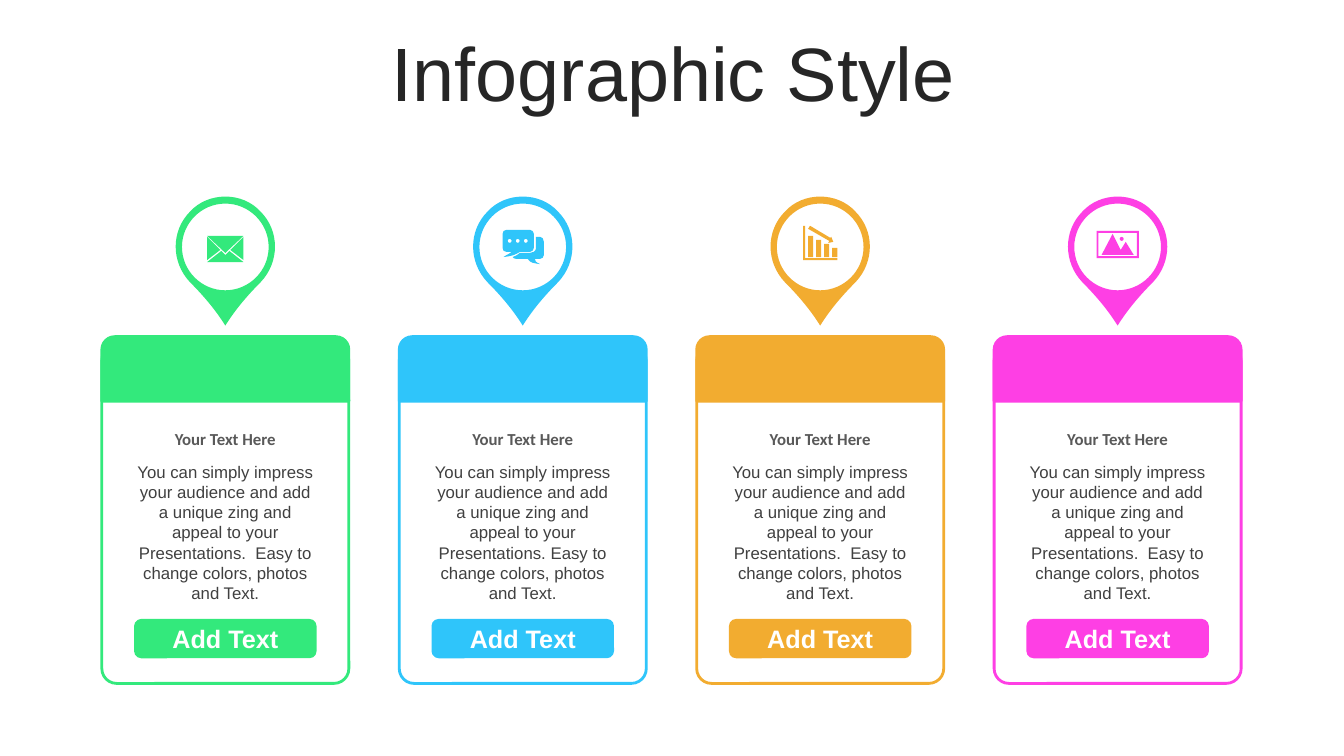
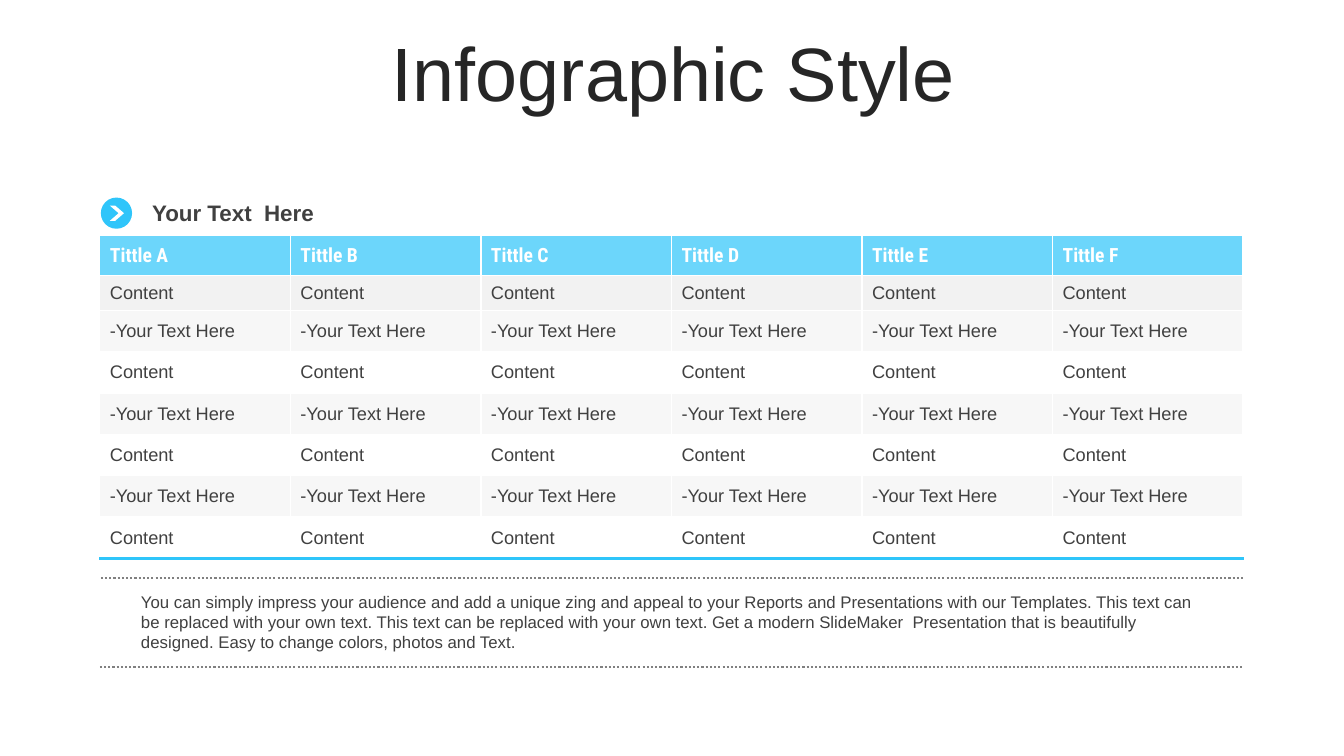
import lxml.etree
import pptx
import pptx.dml.color
import pptx.enum.dml
import pptx.enum.shapes
import pptx.enum.text
import pptx.oxml.ns
import pptx.util

Inches = pptx.util.Inches
Pt = pptx.util.Pt
SHAPE = pptx.enum.shapes.MSO_SHAPE
ALIGN = pptx.enum.text.PP_ALIGN
MIDDLE = pptx.enum.text.MSO_ANCHOR.MIDDLE
qn = pptx.oxml.ns.qn

INK = {
    "green": "33E97C", "blue": "2FC5FA", "gold": "F2AC30", "pink": "FE3FE4",
    "white": "FFFFFF", "title": "262626", "head": "595959", "text": "404040",
    "pale": "F2F2F2", "band": "D9D9D9", "rule": "808080",
}
HUES = ["green", "blue", "gold", "pink"]
LEFT, PITCH, WIDE = 1.01, 2.95, 2.45
PIN_Y = 2.45
BLURB = ("You can simply impress your audience and add a unique zing and "
         "appeal to your Presentations.{}Easy to change colors, photos and Text.")
NOTE = ("You can simply impress your audience and add a unique zing and appeal "
        "to your Reports and Presentations with our Templates. This text can be "
        "replaced with your own text. This text can be replaced with your own "
        "text. Get a modern SlideMaker  Presentation that is beautifully "
        "designed. Easy to change colors, photos and Text.")


def rgb(name):
    """Return the palette colour with this name."""
    return pptx.dml.color.RGBColor.from_string(INK[name])


def write(frame, text, size, color, bold=False, font="Arial", align=None):
    """Put one formatted run in the first paragraph of a frame."""
    para = frame.paragraphs[0]
    para.alignment = align
    run = para.add_run()
    run.text = text
    run.font.size = Pt(size)
    run.font.name = font
    run.font.bold = bold
    run.font.color.rgb = rgb(color)
    return para


def label(slide, box, *args, **style):
    """Add a wrapped text box."""
    frame = slide.shapes.add_textbox(*map(Inches, box)).text_frame
    frame.word_wrap = True
    write(frame, *args, **style)


def paint(shape, fill, line=None):
    """Give a shape a flat fill and an optional outline."""
    shape.shadow.inherit = False
    shape.fill.solid()
    shape.fill.fore_color.rgb = rgb(fill)
    if line:
        shape.line.color.rgb = rgb(line)
        shape.line.width = Pt(2)
    else:
        shape.line.fill.background()


def block(slide, kind, box, fill, line=None, adj=None):
    """Add a preset shape."""
    shape = slide.shapes.add_shape(kind, *map(Inches, box))
    paint(shape, fill, line)
    if adj is not None:
        shape.adjustments[0] = adj
    return shape


def rect(x, y, w, h):
    """Return the corners of a rectangle."""
    return [(x, y), (x + w, y), (x + w, y + h), (x, y + h)]


def ring(x, y, r):
    """Return a circle as four cubic curves."""
    k = .55 * r
    return [(x + r, y),
            (x + r, y + k, x + k, y + r, x, y + r),
            (x - k, y + r, x - r, y + k, x - r, y),
            (x - r, y - k, x - k, y - r, x, y - r),
            (x + k, y - r, x + r, y - k, x + r, y)]


def bend(shape, parts):
    """Turn each run of three segments that forms a cubic into a curve."""
    lines = iter(list(shape._element.iter(qn("a:lnTo"))))
    for part in parts:
        group = [next(lines) for _ in range(len(part) // 2)]
        if len(group) == 3:
            curve = lxml.etree.Element(qn("a:cubicBezTo"))
            group[0].addprevious(curve)
            for node in group:
                curve.append(node[0])
                node.getparent().remove(node)


def draw(slide, loops, x, y, fill):
    """Add closed outlines of lines (x, y) and cubics (six numbers)."""
    pen = None
    for loop in loops:
        knots = [(Inches(part[i]), Inches(part[i + 1]))
                 for part in loop for i in range(0, len(part), 2)]
        if pen:
            pen.move_to(*knots[0])
        else:
            pen = slide.shapes.build_freeform(*knots[0], scale=1.0)
        pen.add_line_segments(knots[1:], close=True)
    shape = pen.convert_to_shape(Inches(x), Inches(y))
    bend(shape, [part for loop in loops for part in loop[1:]])
    paint(shape, fill)


def pin():
    """Return the map pin outline with its round hole."""
    drop = [(0, -.5), (.13, -.5, .26, -.45, .35, -.35),
            (.54, -.16, .54, .15, .35, .35), (.22, .48, .1, .62, 0, .78),
            (-.1, .62, -.22, .48, -.35, .35),
            (-.54, .15, -.54, -.16, -.35, -.35),
            (-.26, -.45, -.13, -.5, 0, -.5)]
    return [ring(0, 0, .43), drop]


def mail():
    """Return the envelope icon."""
    side = [(.18, -.1), (.18, .13), (.05, .03)]
    return [[(.04, .04), (.18, .15), (-.18, .15), (-.04, .04), (0, .08)],
            side, [(-x, y) for x, y in side],
            [(-.18, -.11), (.18, -.11), (0, .06)]]


def chat():
    """Return the two speech bubbles icon."""
    back = [(.13, -.1), (.17, -.1), (.19, -.1, .21, -.08, .21, -.05),
            (.21, .08), (.21, .1, .19, .12, .17, .12), (.12, .12),
            (.12, .14, .13, .15, .17, .17), (.1, .16, .08, .16, .05, .12),
            (-.06, .12), (-.08, .12, -.1, .11, -.1, .1),
            (-.07, .09, -.05, .08, -.03, .06), (.07, .06),
            (.1, .06, .13, .04, .13, .02)]
    front = [(-.16, -.17), (.07, -.17), (.09, -.17, .11, -.15, .11, -.13),
             (.11, .01), (.11, .03, .09, .05, .07, .05), (-.03, .05),
             (-.08, .08, -.1, .09, -.19, .1),
             (-.15, .07, -.13, .07, -.11, .05), (-.16, .05),
             (-.19, .05, -.2, .03, -.2, .01), (-.2, -.13),
             (-.2, -.15, -.19, -.17, -.16, -.17)]
    dots = [ring(-.13 + .08 * i, -.06, .02) for i in range(3)]
    return dots + [back, front]


def graph():
    """Return the falling bar chart icon."""
    bars = [rect(-.12 + .08 * i, -.11 + .04 * i, .05, .21 - .04 * i)
            for i in range(4)]
    arrow = [(-.1, -.21), (.1, -.09), (.11, -.1), (.13, -.05),
             (.08, -.04), (.09, -.06), (-.12, -.18)]
    axes = [(-.17, -.21), (-.15, -.21), (-.15, .11),
            (.17, .11), (.17, .13), (-.17, .13)]
    return bars + [arrow, axes]


def photo():
    """Return the framed landscape icon."""
    hills = [(-.05, -.13), (.03, .03), (.08, -.05), (.16, .08), (-.16, .08)]
    return [ring(.04, -.08, .02), hills,
            rect(-.19, -.14, .38, .23), rect(-.21, -.16, .42, .27)]


def card(slide, x, hue, icon, gap):
    """Add a pin, its icon and the card below."""
    mid = x + WIDE / 2
    draw(slide, pin(), mid, PIN_Y, hue)
    draw(slide, icon, mid, PIN_Y, hue)
    block(slide, SHAPE.ROUNDED_RECTANGLE, (x, 3.43, WIDE, 3.35), "white", hue, .06)
    block(slide, SHAPE.ROUND_2_SAME_RECTANGLE, (x, 3.34, WIDE, .64), hue, hue, .2)
    key = block(slide, SHAPE.ROUNDED_RECTANGLE, (x + .32, 6.14, 1.81, .39),
                hue, adj=.18)
    key.text_frame.vertical_anchor = MIDDLE
    write(key.text_frame, "Add Text", 18, "white", bold=True, align=ALIGN.CENTER)
    label(slide, (x + .21, 4.2, 2.03, .3), "Your Text Here", 12, "head",
          bold=True, font="Calibri", align=ALIGN.CENTER)
    label(slide, (x + .21, 4.53, 2.03, 1.31), BLURB.format(gap), 12, "text",
          align=ALIGN.CENTER)


def tint(cell, color, alpha=100):
    """Fill a table cell, with opacity in percent."""
    cell.fill.solid()
    cell.fill.fore_color.rgb = rgb(color)
    if alpha < 100:
        tone = cell._tc.tcPr.find(qn("a:solidFill"))[0]
        lxml.etree.SubElement(tone, qn("a:alpha"), val=str(alpha * 1000))


def edge(cell, color, width):
    """Draw the bottom border of a table cell."""
    line = lxml.etree.Element(qn("a:lnB"), w=str(Pt(width)))
    fill = lxml.etree.SubElement(line, qn("a:solidFill"))
    lxml.etree.SubElement(fill, qn("a:srgbClr"), val=INK[color])
    cell._tc.get_or_add_tcPr().insert(0, line)


def grid(slide):
    """Add the table of six columns."""
    tall = [.39, .35] + [.41] * 6
    table = slide.shapes.add_table(
        len(tall), 6, Inches(.99), Inches(2.34), Inches(11.34),
        Inches(sum(tall))).table
    table.first_row = table.horz_banding = False
    for col in table.columns:
        col.width = Inches(1.89)
    for r, high in enumerate(tall):
        table.rows[r].height = Inches(high)
        for c, mark in enumerate("ABCDEF"):
            cell = table.cell(r, c)
            cell.vertical_anchor = MIDDLE
            if r == 0:
                tint(cell, "blue", 70)
                write(cell.text_frame, f"Tittle {mark}", 14, "white",
                      bold=True, font="Roboto Condensed")
                continue
            text = "Content" if r % 2 else "-Your Text Here"
            write(cell.text_frame, text, 13, "text")
            if r == 1:
                tint(cell, "pale")
            elif r % 2 == 0:
                tint(cell, "band", 20)
            else:
                cell.fill.background()
            if r == len(tall) - 1:
                edge(cell, "blue", 2.25)


def rule(slide, x, y):
    """Add a dotted line across the slide."""
    line = slide.shapes.add_connector(
        pptx.enum.shapes.MSO_CONNECTOR.STRAIGHT,
        *map(Inches, (x, y, x + 11.34, y)))
    line.line.color.rgb = rgb("rule")
    line.line.width = Pt(1.5)
    line.line.dash_style = pptx.enum.dml.MSO_LINE.ROUND_DOT
    lxml.etree.SubElement(line._element.spPr, qn("a:effectLst"))


def start(deck):
    """Add a slide with the shared title."""
    slide = deck.slides.add_slide(deck.slide_layouts[5])
    title = slide.shapes.title
    title.left, title.top, title.width, title.height = map(
        Inches, (.35, .37, 12.66, .79))
    frame = title.text_frame
    frame.auto_size = pptx.enum.text.MSO_AUTO_SIZE.NONE
    frame.vertical_anchor = MIDDLE
    para = write(frame, "Infographic Style", 54, "title", align=ALIGN.CENTER)
    para.line_spacing = .9
    return slide


def main():
    """Build and save the deck."""
    deck = pptx.Presentation()
    deck.slide_width, deck.slide_height = Inches(13.33), Inches(7.5)

    slide = start(deck)
    icons = [mail(), chat(), graph(), photo()]
    for i, (hue, icon) in enumerate(zip(HUES, icons)):
        card(slide, LEFT + i * PITCH, hue, icon, " " if hue == "blue" else "  ")

    slide = start(deck)
    grid(slide)
    label(slide, (1.3, 5.82, 10.75, .71), NOTE, 12, "text")
    rule(slide, 1, 5.73)
    rule(slide, .99, 6.62)
    label(slide, (1.41, 1.93, 3.02, .37), "Your Text  Here", 16, "text", bold=True)
    block(slide, SHAPE.OVAL, (1, 1.96, .31, .31), "blue")
    block(slide, SHAPE.CHEVRON, (1.09, 2.04, .14, .15), "white", adj=.62)

    deck.save("out.pptx")


if __name__ == "__main__":
    main()
